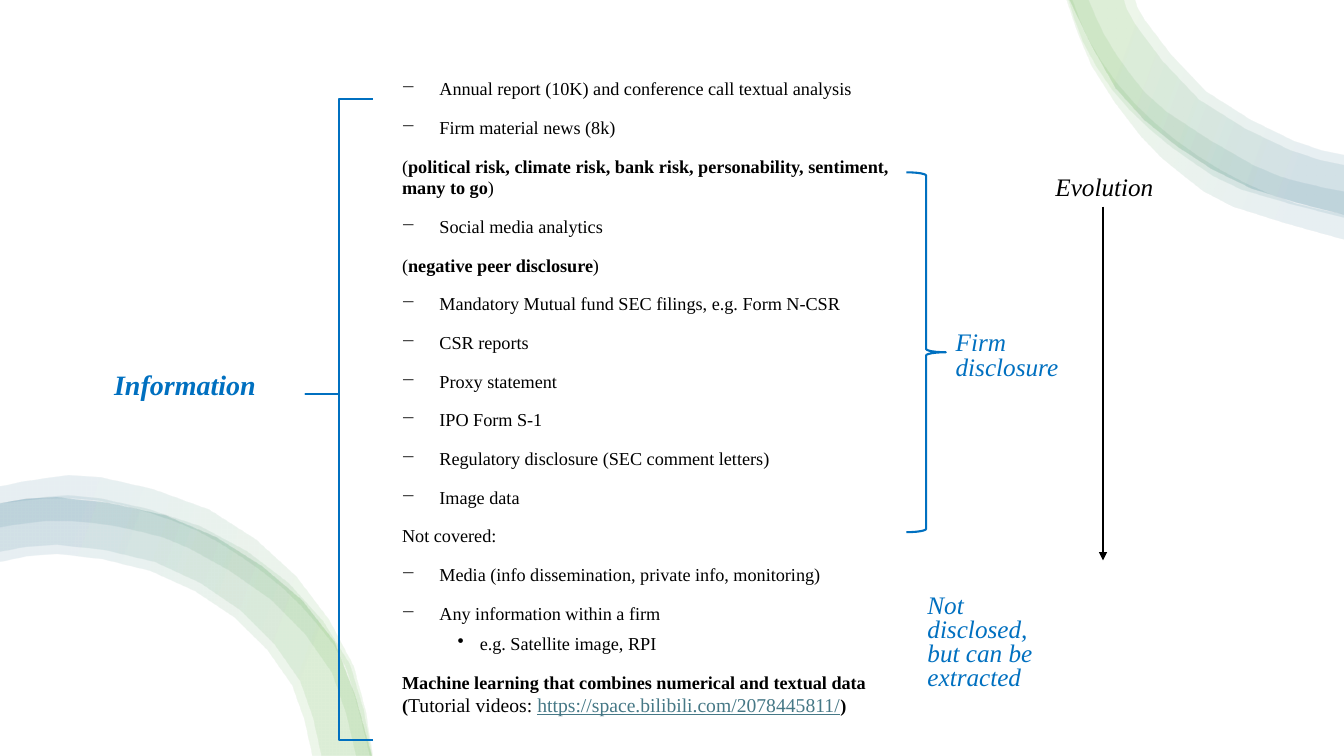
import pptx
import pptx.dml.color
import pptx.enum.shapes
import pptx.enum.text
import pptx.oxml
import pptx.oxml.ns
import pptx.util

Inches = pptx.util.Inches
Pt = pptx.util.Pt
FONT = "Times New Roman"
COLORS = {"blue": "0070C0", "black": "000000", "link": "467886",
          "white": "FFFFFF", "green": "4EA72E", "teal": "156082"}

# Each band is an outer edge and an inner edge, in inches.
TOP_EDGE = [(10.61, 0), (11.07, .88), (11.67, 1.45), (12.41, 1.87), (13.33, 2.13)]
BOTTOM_EDGE = [(3.68, 7.5), (3.31, 6.37), (2.59, 5.62), (1.64, 5.12), (.56, 4.94), (0, 5)]
TOP_BANDS = [
    ([(10.58, 0), (10.83, .66), (11.31, 1.35), (11.73, 1.74), (12.22, 2.05), (13.33, 2.38)],
     [(13.33, 2.13), (12.85, 2.02), (12.35, 1.82), (11.88, 1.55), (11.45, 1.22),
      (11.08, .83), (10.79, .38), (10.64, 0)]),
    (TOP_EDGE, [(13.33, 1.54), (12.83, 1.4), (11.96, .91), (11.36, .21), (11.26, 0)]),
    ([(10.6, 0), (10.75, .43), (11.03, .89), (11.4, 1.28), (11.83, 1.61), (12.31, 1.88),
      (13.33, 2.16)],
     [(13.33, 1.9), (12.91, 1.81), (12.43, 1.64), (11.57, 1.11), (11.22, .75),
      (10.95, .34), (10.8, 0)]),
    (TOP_EDGE, [(13.33, 1.64), (12.79, 1.49), (11.89, .99), (11.27, .26), (11.15, 0)]),
]
BOTTOM_BANDS = [
    (BOTTOM_EDGE, [(0, 5.58), (.56, 5.5), (1.49, 5.67), (2.32, 6.13), (2.89, 6.8), (3.09, 7.5)]),
    (BOTTOM_EDGE, [(0, 5.48), (.56, 5.41), (1.53, 5.58), (2.38, 6.06), (2.97, 6.76), (3.18, 7.5)]),
    ([(3.68, 7.5), (3.46, 6.59), (2.85, 5.78), (1.98, 5.22), (.97, 4.94), (.44, 4.93), (0, 4.99)],
     [(0, 5.23), (.45, 5.17), (.94, 5.19), (1.41, 5.28), (1.87, 5.44), (2.68, 5.95),
      (3.28, 6.67), (3.52, 7.5)]),
    ([(3.69, 7.5), (3.5, 6.61), (2.93, 5.72), (2.07, 5.06), (1, 4.74), (.43, 4.75), (0, 4.83)],
     [(0, 5), (.45, 4.95), (.97, 4.97), (1.47, 5.09), (1.95, 5.27), (2.39, 5.53),
      (2.8, 5.84), (3.15, 6.21), (3.43, 6.64), (3.66, 7.5)]),
]
# Gradient direction in degrees, clockwise from the right
BAND_GROUPS = [(20, TOP_BANDS), (200, BOTTOM_BANDS)]
GRADIENT = [(16, "green"), (85, "teal")]

# Paragraph kind: left margin, first-line indent, space before, bullet
KINDS = {"dash": (.39, -.38, 12, "−"), "plain": (.02, 0, 12, None), "dot": (.79, -.22, 6, "•")}
BOLD = {"bold": True}
SOURCES = [
    ("dash", [("Annual report (10K) and conference call textual analysis", {})]),
    ("dash", [("Firm material news (8k)", {})]),
    ("plain", [("(", {}),
               ("political risk, climate risk, bank risk, personability, sentiment, many to go", BOLD),
               (")", {})]),
    ("dash", [("Social media analytics", {})]),
    ("plain", [("(", {}), ("negative peer disclosure", BOLD), (")", {})]),
    ("dash", [("Mandatory Mutual fund SEC filings, e.g. Form N-CSR", {})]),
    ("dash", [("CSR reports", {})]),
    ("dash", [("Proxy statement", {})]),
    ("dash", [("IPO Form S-1", {})]),
    ("dash", [("Regulatory disclosure (SEC comment letters)", {})]),
    ("dash", [("Image data", {})]),
    ("plain", [("Not covered:", {})]),
    ("dash", [("Media (info dissemination, private info, monitoring)", {})]),
    ("dash", [("Any information within a firm", {})]),
    ("dot", [("e.g. Satellite image, RPI", {})]),
    ("plain", [("Machine learning that combines numerical and textual data (", BOLD),
               ("Tutorial videos: ", {"size": Pt(14)}),
               ("https://space.bilibili.com/2078445811/",
                {"size": Pt(14), "underline": True, "color": "link"}),
               (")", BOLD)]),
]
SOURCES_PLACE = (3.87, .72, 5.5, 7.1)
INFORMATION_PLACE = (.78, 3.34, 2.11, .94)
# Text, place, colour, line spacing
LABELS = [
    ("Evolution", (10.37, 1.65, 1.63, .4), "black", 1.0),
    ("Firm disclosure", (9.38, 3.25, 1.32, .59), "blue", .8),
    ("Not disclosed, but can be extracted", (9.1, 5.85, 1.55, 1.08), "blue", .8),
]
BRACES = [("LEFT_BRACE", (3.03, .98, .67, 6.36), (0, .46)),
          ("RIGHT_BRACE", (8.99, 1.71, .39, 3.57), ())]
ARROW = (10.94, 2.05, 10.94, 5.56)


def rgb(name):
    return pptx.dml.color.RGBColor.from_string(COLORS[name])


def inches(lengths):
    return [Inches(length) for length in lengths]


def element(tag, attributes="", inner=""):
    return pptx.oxml.parse_xml(
        f'<a:{tag} {pptx.oxml.ns.nsdecls("a")} {attributes}>{inner}</a:{tag}>')


def beyond(end, neighbour):
    return tuple(2 * e - n for e, n in zip(end, neighbour))


def smooth_edge(anchors):
    """Return the anchors in EMU, with a Catmull-Rom midpoint between each two."""
    padded = [beyond(*anchors[:2]), *anchors, beyond(*anchors[:-3:-1])]
    points = []
    for a, b, c, d in zip(padded, padded[1:], padded[2:], padded[3:]):
        middle = [(9 * (q + r) - p - s) / 16 for p, q, r, s in zip(a, b, c, d)]
        points += [inches(b), inches(middle)]
    return points + [inches(anchors[-1])]


def add_band(slide, outer, inner, angle):
    points = smooth_edge(outer) + smooth_edge(inner)
    builder = slide.shapes.build_freeform(*points[0])
    builder.add_line_segments(points[1:], close=True)
    band = builder.convert_to_shape()
    band.shadow.inherit = False
    band.line.fill.background()
    stops = "".join(
        f'<a:gs pos="{place * 1000}"><a:srgbClr val="{COLORS[name]}">'
        f'<a:alpha val="10000"/></a:srgbClr></a:gs>' for place, name in GRADIENT)
    gradient = element("gradFill", 'rotWithShape="1"',
                       f'<a:gsLst>{stops}</a:gsLst><a:lin ang="{angle * 60000}" scaled="0"/>')
    band._element.spPr.find(pptx.oxml.ns.qn("a:custGeom")).addnext(gradient)


def add_span(para, text, color="black", **formats):
    span = para.add_run()
    span.text = text
    span.font.color.rgb = rgb(color)
    for name, value in {"name": FONT, **formats}.items():
        setattr(span.font, name, value)


def add_text_box(slide, place):
    frame = slide.shapes.add_textbox(*inches(place)).text_frame
    frame.word_wrap = True
    frame.auto_size = pptx.enum.text.MSO_AUTO_SIZE.SHAPE_TO_FIT_TEXT
    return frame


def add_sources(slide):
    frame = add_text_box(slide, SOURCES_PLACE)
    for index, (kind, spans) in enumerate(SOURCES):
        para = frame.add_paragraph() if index else frame.paragraphs[0]
        margin, indent, before, bullet = KINDS[kind]
        properties = para._p.get_or_add_pPr()
        properties.set("marL", str(Inches(margin)))
        properties.set("indent", str(Inches(indent)))
        if bullet:
            properties.append(element("buChar", f'char="{bullet}"'))
        if index:
            para.space_before = Pt(before)
        for text, formats in spans:
            add_span(para, text, **{"size": Pt(13), **formats})


def add_information(slide):
    box = slide.shapes.add_shape(pptx.enum.shapes.MSO_SHAPE.RECTANGLE, *inches(INFORMATION_PLACE))
    box.shadow.inherit = False
    box.fill.solid()
    box.fill.fore_color.rgb = rgb("white")
    box.line.fill.background()
    box.text_frame.vertical_anchor = pptx.enum.text.MSO_ANCHOR.MIDDLE
    para = box.text_frame.paragraphs[0]
    para.alignment = pptx.enum.text.PP_ALIGN.CENTER
    add_span(para, "Information", "blue", size=Pt(20), bold=True, italic=True)


def add_brace(slide, name, place, adjustments):
    brace = slide.shapes.add_shape(getattr(pptx.enum.shapes.MSO_SHAPE, name), *inches(place))
    for index, value in enumerate(adjustments):
        brace.adjustments[index] = value
    brace.shadow.inherit = False
    brace.fill.background()
    brace.line.color.rgb = rgb("blue")
    brace.line.width = Pt(1.5)


def add_arrow(slide):
    arrow = slide.shapes.add_connector(pptx.enum.shapes.MSO_CONNECTOR.STRAIGHT, *inches(ARROW))
    arrow.line.color.rgb = rgb("black")
    arrow.line.width = Pt(1.5)
    arrow.line._get_or_add_ln().append(element("tailEnd", 'type="triangle"'))
    arrow._element.spPr.append(element("effectLst"))


def main():
    deck = pptx.Presentation()
    deck.slide_width, deck.slide_height = inches((13.33, 7.5))
    slide = deck.slides.add_slide(deck.slide_layouts[6])
    for angle, bands in BAND_GROUPS:
        for outer, inner in bands:
            add_band(slide, outer, inner, angle)
    add_information(slide)
    add_sources(slide)
    for text, place, color, spacing in LABELS:
        para = add_text_box(slide, place).paragraphs[0]
        para.line_spacing = spacing
        add_span(para, text, color, size=Pt(18), italic=True)
    for brace in BRACES:
        add_brace(slide, *brace)
    add_arrow(slide)
    deck.save("out.pptx")


if __name__ == "__main__":
    main()
